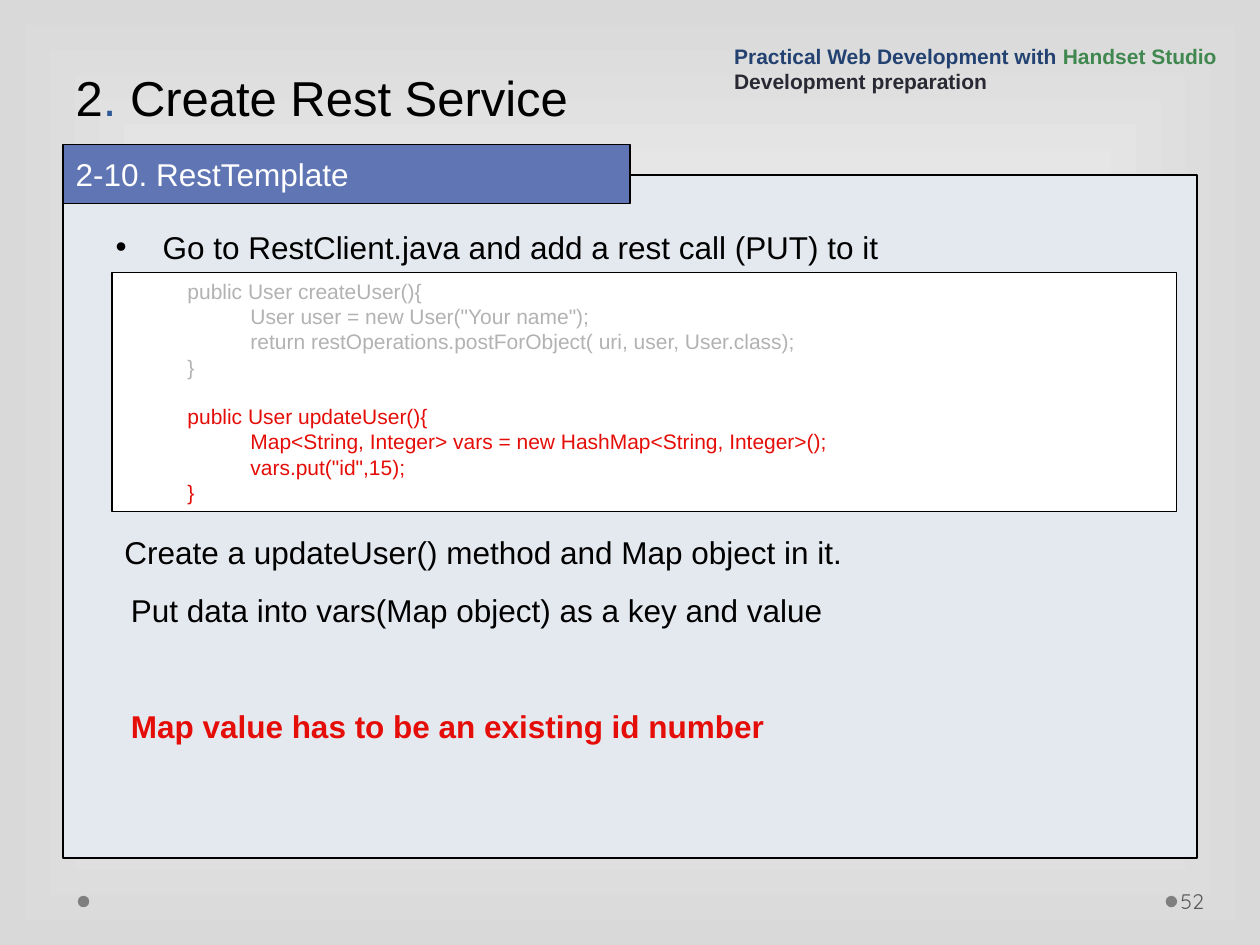
from dataclasses import dataclass

from lxml.etree import SubElement
from pptx import Presentation
from pptx.dml.color import RGBColor
from pptx.enum.shapes import MSO_SHAPE
from pptx.enum.text import MSO_ANCHOR, MSO_AUTO_SIZE, PP_ALIGN
from pptx.oxml.ns import qn
from pptx.util import Cm, Pt


@dataclass(frozen=True)
class Theme:
    """Colours, fonts and type sizes of the slide."""
    font: str = "Arial"
    number_font: str = "Quicksand"
    title_size: int = 28
    text_size: int = 18
    small_size: int = 12
    black: str = "000000"
    white: str = "FFFFFF"
    edge: str = "D9D9D9"
    dot: str = "7F7F7F"
    number: str = "595959"
    panel: str = "E4E9EF"
    tab: str = "6076B4"
    accent: str = "2F5897"
    course: str = "234271"
    tool: str = "40884F"
    chapter: str = "292934"
    muted: str = "B2B2B2"
    red: str = "E40D08"


def write(tf, *runs, size, font=Theme.font, bold=False, indent=0, hanging=0,
          bullet=None, before=0, line=None):
    """Add one paragraph of (text, colour) runs to a text frame."""
    p = tf.paragraphs[0] if not tf.text else tf.add_paragraph()
    pPr = p._p.get_or_add_pPr()
    pPr.set("marL", str(Cm(indent)))
    pPr.set("indent", str(-Cm(hanging)))
    if bullet:
        SubElement(pPr, qn("a:buFont")).set("typeface", font)
        SubElement(pPr, qn("a:buChar")).set("char", bullet)
    else:
        SubElement(pPr, qn("a:buNone"))
    p.alignment = PP_ALIGN.LEFT
    p.space_before = Pt(before)
    if line:
        p.line_spacing = Pt(line)
    for text, color in runs:
        r = p.add_run()
        r.text = text
        r.font.name, r.font.size, r.font.bold = font, Pt(size), bold
        r.font.color.rgb = RGBColor.from_string(color)


class Deck:
    """Holds the theme and the current slide."""

    def __init__(self, theme):
        """Start a presentation with one title and body slide."""
        self.theme = theme
        self.prs = Presentation()
        self.prs.slide_width, self.prs.slide_height = Cm(25.4), Cm(19.05)
        self.s = self.prs.slides.add_slide(self.prs.slide_layouts[1])

    def background(self, inner, outer):
        """Fill the slide with a gradient from its centre to its edges."""
        fill = self.s.background.fill
        fill.gradient()
        for stop, color in zip(fill.gradient_stops, (inner, outer)):
            stop.color.rgb = RGBColor.from_string(color)
        grad = self.s.element.find(".//" + qn("a:gradFill"))
        grad.remove(grad.find(qn("a:lin")))
        rect = SubElement(grad, qn("a:path"), {"path": "rect"})
        SubElement(rect, qn("a:fillToRect"), dict.fromkeys("ltrb", "50000"))

    def paint(self, sp, fill, outlined=True):
        """Set the fill and outline of a shape."""
        sp.fill.solid()
        sp.fill.fore_color.rgb = RGBColor.from_string(fill)
        if outlined:
            sp.line.color.rgb = RGBColor.from_string(self.theme.black)
            sp.line.width = Pt(0.75)
        else:
            sp.line.fill.background()

    def frame(self, sp, anchor):
        """Prepare the text frame of a shape."""
        tf = sp.text_frame
        tf.word_wrap = True
        tf.auto_size = MSO_AUTO_SIZE.NONE
        tf.vertical_anchor = anchor
        return tf

    def shape(self, kind, x, y, w, h, fill, outlined=True):
        """Add a preset shape and return its text frame."""
        sp = self.s.shapes.add_shape(kind, Cm(x), Cm(y), Cm(w), Cm(h))
        sp.shadow.inherit = False
        self.paint(sp, fill, outlined)
        return self.frame(sp, MSO_ANCHOR.TOP)

    def text(self, x, y, w, h=1.02, anchor=MSO_ANCHOR.TOP):
        """Add a text box and return its text frame."""
        sp = self.s.shapes.add_textbox(Cm(x), Cm(y), Cm(w), Cm(h))
        return self.frame(sp, anchor)

    def placeholder(self, idx, x, y, w, h, anchor, fill=None):
        """Place a template placeholder in front and return its text frame."""
        sp = self.s.placeholders[idx]
        sp.left, sp.top, sp.width, sp.height = Cm(x), Cm(y), Cm(w), Cm(h)
        self.s.shapes.element.append(sp.element)
        if fill:
            self.paint(sp, fill)
        return self.frame(sp, anchor)


def main():
    """Build and save the slide."""
    t = Theme()
    deck = Deck(t)
    deck.background(t.white, t.edge)

    for x in (23.5, 1.57):
        deck.shape(MSO_SHAPE.OVAL, x, 18.06, 0.23, 0.23, t.dot, outlined=False)
    number = deck.text(23.72, 17.65, 1.55, anchor=MSO_ANCHOR.MIDDLE)
    number.margin_left = Cm(0.08)
    write(number, ("52", t.number), size=t.small_size, font=t.number_font)

    deck.shape(MSO_SHAPE.RECTANGLE, 1.27, 3.53, 22.86, 13.77, t.panel)
    title = deck.placeholder(0, 1.27, 0, 22.86, 2.67, MSO_ANCHOR.BOTTOM)
    write(title, ("2", t.black), (". ", t.accent),
          ("Create Rest Service", t.black), size=t.title_size, line=58)
    tab = deck.placeholder(1, 1.27, 2.92, 11.43, 1.19, MSO_ANCHOR.MIDDLE, t.tab)
    write(tab, ("2-10. RestTemplate", t.white), size=t.text_size)

    header = deck.text(14.55, 0.61, 10.87, 1.4, MSO_ANCHOR.BOTTOM)
    write(header, ("Practical Web Development with ", t.course),
          ("Handset Studio", t.tool), size=t.small_size, bold=True)
    write(header, ("Development preparation", t.chapter),
          size=t.small_size, bold=True)

    step = deck.text(2.08, 4.47, 21.64)
    write(step, ("Go to RestClient.java and add a rest call (PUT) to it", t.black),
          size=t.text_size, bullet="•", indent=0.95, hanging=0.95)

    code = deck.shape(MSO_SHAPE.RECTANGLE, 2.26, 5.49, 21.46, 4.83, t.white)
    methods = [
        (t.muted, 0, [
            (1, "public User createUser(){"),
            (2, 'User user = new User("Your name");'),
            (2, "return restOperations.postForObject( uri, user, User.class);"),
            (1, "}")]),
        (t.red, 14, [
            (1, "public User updateUser(){"),
            (2, "Map<String, Integer> vars = new HashMap<String, Integer>();"),
            (2, 'vars.put("id",15);'),
            (1, "}")]),
    ]
    for color, gap, lines in methods:
        for i, (depth, line) in enumerate(lines):
            write(code, (line, color), size=t.small_size,
                  indent=1.27 * depth, before=0 if i else gap)

    notes = [
        (2.26, 10.62, "Create a updateUser() method and Map object in it.", t.black),
        (2.39, 11.79, "Put data into vars(Map object) as a key and value", t.black),
        (2.39, 14.12, "Map value has to be an existing id number", t.red),
    ]
    for x, y, note, color in notes:
        write(deck.text(x, y, 20.85), (note, color),
              size=t.text_size, bold=color == t.red)

    deck.prs.save("out.pptx")


if __name__ == "__main__":
    main()
